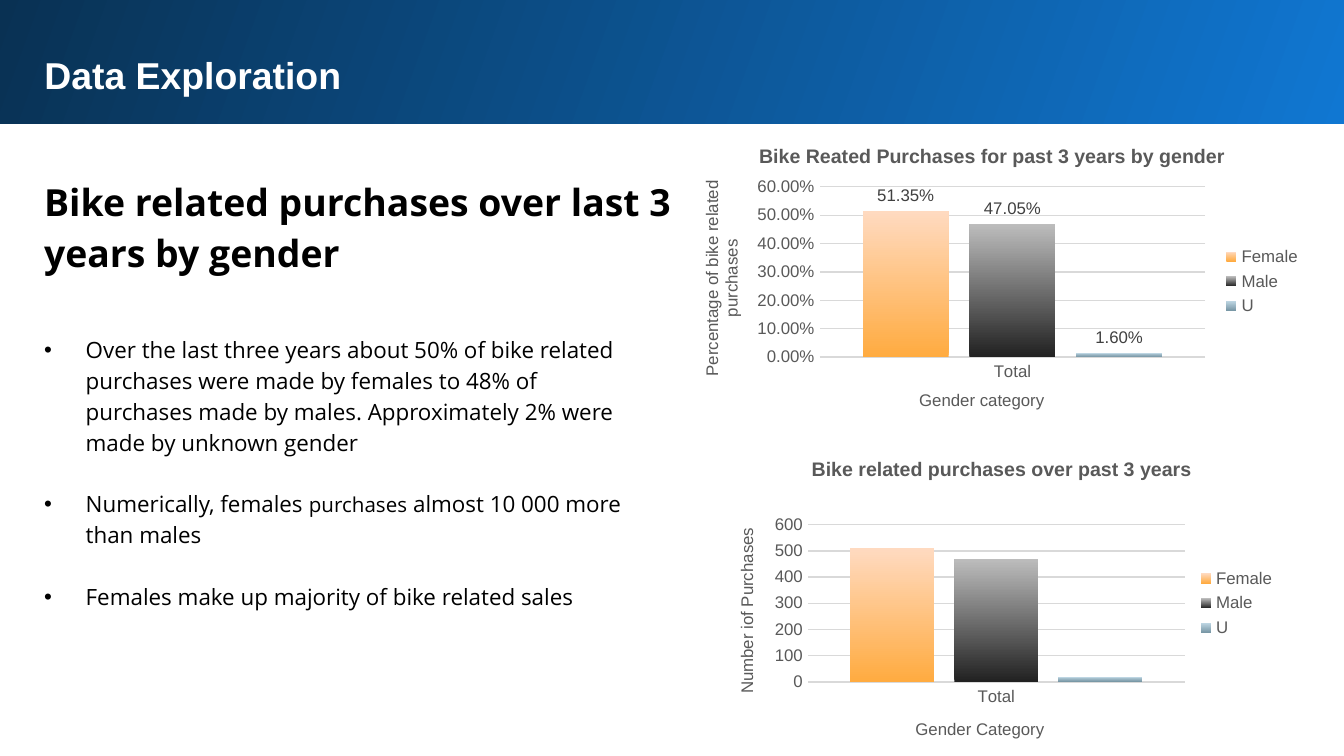
from lxml.etree import SubElement
from pptx import Presentation
from pptx.chart.data import CategoryChartData
from pptx.dml.color import RGBColor
from pptx.enum.chart import XL_CHART_TYPE, XL_LABEL_POSITION, XL_LEGEND_POSITION, XL_TICK_MARK
from pptx.enum.shapes import MSO_SHAPE
from pptx.enum.text import MSO_ANCHOR, MSO_AUTO_SIZE, PP_ALIGN
from pptx.oxml.ns import qn
from pptx.util import Inches, Pt

WHITE = RGBColor(0xFF, 0xFF, 0xFF)
BLACK = RGBColor(0, 0, 0)
GRAY = RGBColor(0x59, 0x59, 0x59)
DARK = RGBColor(0x40, 0x40, 0x40)
RULE = RGBColor(0xD9, 0xD9, 0xD9)
BLUE = RGBColor(0x10, 0x77, 0xD2)
NAVY = RGBColor(0x09, 0x31, 0x53)
BARS = {
    "Female": (RGBColor(0xFF, 0xAB, 0x40), RGBColor(0xFF, 0xDA, 0xC0)),
    "Male": (RGBColor(0x21, 0x21, 0x21), RGBColor(0xBD, 0xBD, 0xBD)),
    "U": (RGBColor(0x73, 0x92, 0xA1), RGBColor(0xBD, 0xD5, 0xE2)),
}
LEFT = 0.23
POINTS = [
    [("Over the last three years about 50% of bike related purchases were made "
      "by females to 48% of purchases made by males. Approximately 2% were made "
      "by unknown gender", 12)],
    [("Numerically, females ", 12), ("purchases", 11),
     (" almost 10 000 more than males", 12)],
    [("Females make up majority of bike related sales", 12)],
]


def style(font, size, color, name="Arial", bold=False):
    looks = {"size": Pt(size), "name": name, "bold": bold}
    for key, value in looks.items():
        setattr(font, key, value)
    font.color.rgb = color


def blend(fill, colors, angle):
    fill.gradient()
    fill.gradient_angle = angle
    for stop, color in zip(fill.gradient_stops, colors):
        stop.color.rgb = color


def set_frame(frame):
    looks = {"word_wrap": True, "auto_size": MSO_AUTO_SIZE.NONE,
             "vertical_anchor": MSO_ANCHOR.TOP}
    for side in ("left", "right", "top", "bottom"):
        looks["margin_" + side] = Inches(0.1)
    for key, value in looks.items():
        setattr(frame, key, value)


def add_text(slide, box):
    shape = slide.shapes.add_textbox(*map(Inches, box))
    set_frame(shape.text_frame)
    return shape.text_frame


def add_run(para, text, size, **looks):
    run = para.add_run()
    run.text = text
    style(run.font, size, **looks)


def add_title(slide, text):
    title = slide.shapes.title
    box = map(Inches, (LEFT, 0.29, 9.37, 0.54))
    for key, value in zip(("left", "top", "width", "height"), box):
        setattr(title, key, value)
    set_frame(title.text_frame)
    para = title.text_frame.paragraphs[0]
    para.alignment = PP_ALIGN.LEFT
    add_run(para, text, 20, color=WHITE, bold=True)


def add_banner(slide):
    """Draw the header band and send it behind the title."""
    banner = slide.shapes.add_shape(
        MSO_SHAPE.RECTANGLE, *map(Inches, (-0.03, 0, 10.05, 0.92)))
    banner.shadow.inherit = False
    banner.line.fill.background()
    blend(banner.fill, (BLUE, NAVY), 160)
    slide.shapes.title.element.addprevious(banner.element)


def add_heading(slide, text):
    para = add_text(slide, (LEFT, 1.18, 5.31, 0.95)).paragraphs[0]
    para.line_spacing = 1.15
    add_run(para, text, 20, color=BLACK, name="Open Sans", bold=True)


def add_bullets(slide, points):
    frame = add_text(slide, (LEFT, 2.37, 4.56, 2.51))
    for i, runs in enumerate(points):
        para = frame.add_paragraph() if i else frame.paragraphs[0]
        para.line_spacing = 1.15
        para.space_before = Pt(16.6 if i else 0)
        props = para._p.get_or_add_pPr()
        props.set("marL", str(Inches(0.31)))
        props.set("indent", str(-Inches(0.31)))
        SubElement(props, qn("a:buFont"), typeface="Arial")
        SubElement(props, qn("a:buChar"), char="•")
        for text, size in runs:
            add_run(para, text, size, color=BLACK, name="Open Sans")


def place(element, **spots):
    """Fix a chart part at fractions of the chart's size."""
    for old in element.findall(qn("c:layout")):
        element.remove(old)
    layout = SubElement(element, qn("c:layout"))
    manual = SubElement(layout, qn("c:manualLayout"))
    if "w" in spots:
        SubElement(manual, qn("c:layoutTarget"), val="inner")
    for key in ("x", "y"):
        SubElement(manual, qn(f"c:{key}Mode"), val="edge")
    for key, value in spots.items():
        SubElement(manual, qn("c:" + key), val=str(value))
    element.insert(0 if element.find(qn("c:tx")) is None else 1, layout)


def set_caption(caption, text, spot, size=9, bold=False):
    para = caption.text_frame.paragraphs[0]
    add_run(para, text, size, color=GRAY, bold=bold)
    place(caption.element, x=spot[0], y=spot[1])


def set_axis(axis, text, spot):
    axis.major_tick_mark = axis.minor_tick_mark = XL_TICK_MARK.NONE
    style(axis.tick_labels.font, 9, GRAY)
    set_caption(axis.axis_title, text, spot)


def set_line(line, width):
    line.color.rgb = RULE
    line.width = Pt(width)


def add_labels(series, form):
    labels = series.data_labels
    looks = {"show_value": True, "number_format": form,
             "number_format_is_linked": False,
             "position": XL_LABEL_POSITION.OUTSIDE_END}
    for key, value in looks.items():
        setattr(labels, key, value)
    style(labels.font, 9, DARK)


def add_bars(slide, box, values, top, step, form, texts, spots, area, labels=False):
    """Draw a column chart; texts and spots go title, category axis, value axis."""
    data = CategoryChartData(number_format=form)
    data.categories = ["Total"]
    for name, value in zip(BARS, values):
        data.add_series(name, [value])
    chart = slide.shapes.add_chart(
        XL_CHART_TYPE.COLUMN_CLUSTERED, *map(Inches, box), data).chart
    style(chart.font, 10, BLACK)
    chart.has_title = True
    set_caption(chart.chart_title, texts[0], spots[0], 10.5, True)
    cat, val = chart.category_axis, chart.value_axis
    set_axis(cat, texts[1], spots[1])
    set_axis(val, texts[2], spots[2])
    set_line(cat.format.line, 1)
    val.format.line.fill.background()
    set_line(val.major_gridlines.format.line, 0.75)
    scale = {"minimum_scale": 0, "maximum_scale": top, "major_unit": step}
    for key, value in scale.items():
        setattr(val, key, value)
    val.tick_labels.number_format = form
    val.tick_labels.number_format_is_linked = False

    chart.has_legend = True
    chart.legend.position = XL_LEGEND_POSITION.RIGHT
    chart.legend.include_in_layout = False
    style(chart.legend.font, 9, GRAY)

    plot = chart.plots[0]
    plot.vary_by_categories = False
    plot.gap_width, plot.overlap = 100, -24
    for series in plot.series:
        blend(series.format.fill, BARS[series.name], 90)
        if labels:
            add_labels(series, form)
    place(chart.element.find(".//" + qn("c:plotArea")), **dict(zip("xywh", area)))


def main():
    deck = Presentation()
    deck.slide_width = Inches(10)
    deck.slide_height = deck.slide_width * 9 // 16
    slide = deck.slides.add_slide(deck.slide_layouts[5])
    add_title(slide, "Data Exploration")
    add_banner(slide)
    add_heading(slide, "Bike related purchases over last 3 years by gender")
    add_bullets(slide, POINTS)
    add_bars(slide, (5, 0.92, 4.78, 2.35), (0.5135, 0.4705, 0.016), 0.6, 0.1, "0.00%",
             ("Bike Reated Purchases for past 3 years by gender",
              "Gender category", "Percentage of bike related purchases"),
             ((0.13, 0.05), (0.38, 0.83), (0.04, 0.17)),
             (0.23, 0.2, 0.6, 0.54), labels=True)
    add_bars(slide, (5.28, 3.27, 4.31, 2.44), (510, 470, 20), 600, 100, "General",
             ("Bike related purchases over past 3 years",
              "Gender Category", "Number iof Purchases"),
             ((0.17, 0.04), (0.35, 0.84), (0.04, 0.26)),
             (0.17, 0.26, 0.65, 0.48))
    deck.save("out.pptx")


if __name__ == "__main__":
    main()
